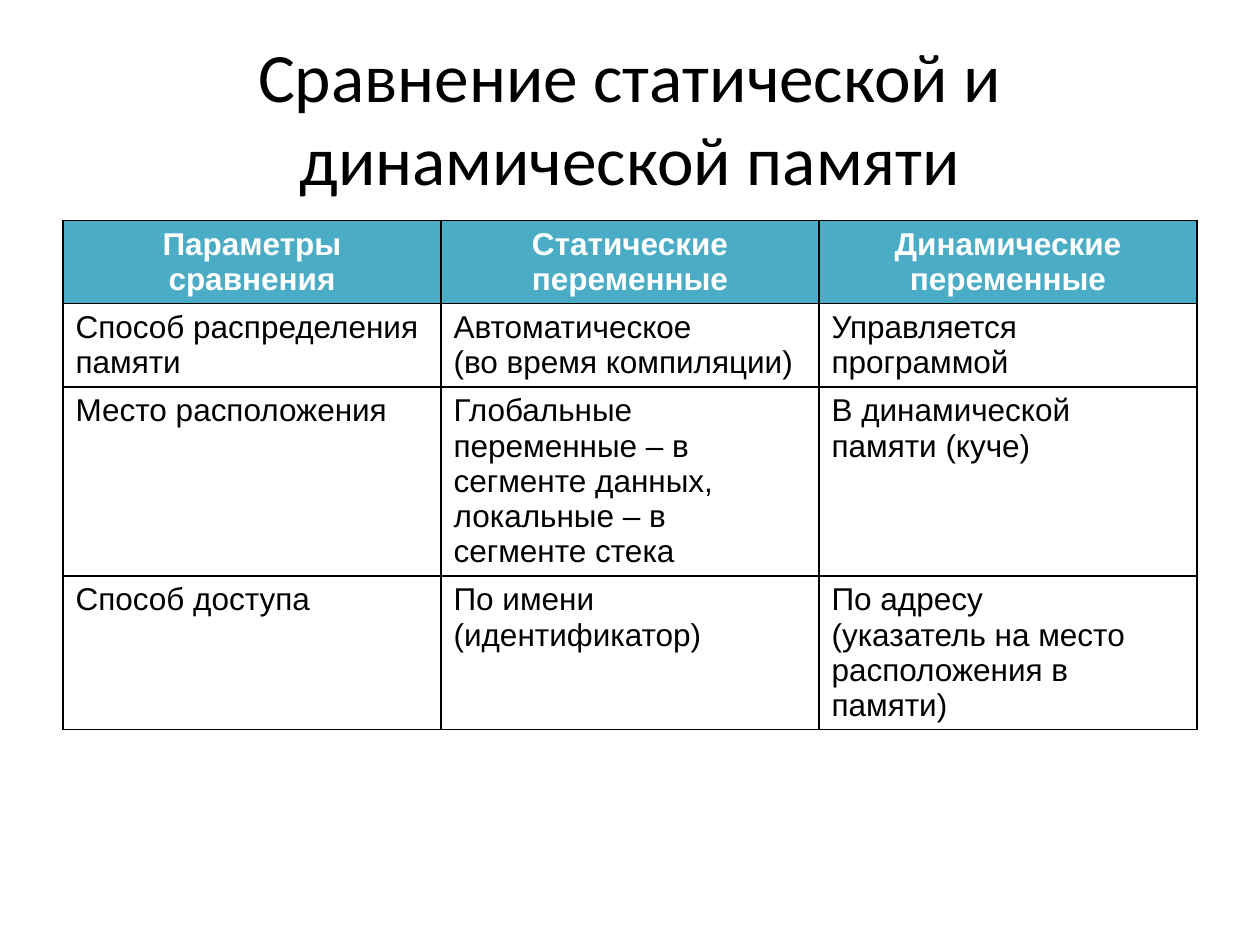
from lxml.etree import SubElement
from pptx import Presentation
from pptx.dml.color import RGBColor
from pptx.enum.text import MSO_ANCHOR, PP_ALIGN
from pptx.oxml.ns import qn
from pptx.util import Inches, Pt

BLACK = RGBColor(0x00, 0x00, 0x00)
WHITE = RGBColor(0xFF, 0xFF, 0xFF)
TEAL = RGBColor(0x4B, 0xAC, 0xC6)

TITLE = "Сравнение статической и динамической памяти"
# Each cell is a list of paragraphs.
COMPARISON = [
    [["Параметры сравнения"], ["Статические переменные"], ["Динамические переменные"]],
    [["Способ распределения памяти"],
     ["Автоматическое", "(во время компиляции)"],
     ["Управляется программой"]],
    [["Место расположения"],
     ["Глобальные переменные – в сегменте данных,", "локальные – в сегменте стека"],
     ["В динамической памяти (куче)"]],
    [["Способ доступа"],
     ["По имени (идентификатор)"],
     ["По адресу", "(указатель на место расположения в памяти)"]],
]


class SlideBuilder:
    title_font, title_size = "Calibri", Pt(39.6)
    table_font, table_size = "Arial", Pt(18)
    border_width = Pt(1)

    def __init__(self, slide):
        self.slide = slide

    def add_text(self, frame, paragraphs, font, size, color, bold=False, align=PP_ALIGN.LEFT):
        for index, text in enumerate(paragraphs):
            paragraph = frame.add_paragraph() if index else frame.paragraphs[0]
            paragraph.alignment = align
            run = paragraph.add_run()
            run.text = text
            run.font.name = font
            run.font.size = size
            run.font.bold = bold
            run.font.color.rgb = color

    def title(self, text, left, top, width, height):
        heading = self.slide.shapes.title
        heading.left, heading.top = left, top
        heading.width, heading.height = width, height
        frame = heading.text_frame
        frame.word_wrap = True
        frame.vertical_anchor = MSO_ANCHOR.MIDDLE
        self.add_text(frame, [text], self.title_font, self.title_size, BLACK,
                      align=PP_ALIGN.CENTER)

    def border(self, cell):
        """Draw all four sides; call before filling, as lines come first in tcPr."""
        properties = cell._tc.get_or_add_tcPr()
        for side in ("a:lnL", "a:lnR", "a:lnT", "a:lnB"):
            line = SubElement(properties, qn(side), w=str(self.border_width))
            fill = SubElement(line, qn("a:solidFill"))
            SubElement(fill, qn("a:srgbClr"), val=str(BLACK))

    def table(self, rows, left, top, column_width, row_height):
        columns = len(rows[0])
        table = self.slide.shapes.add_table(
            len(rows), columns, left, top,
            column_width * columns, row_height * len(rows)).table
        table.horz_banding = False
        for row_index, row in enumerate(rows):
            for column_index, paragraphs in enumerate(row):
                cell = table.cell(row_index, column_index)
                self.border(cell)
                header = row_index == 0
                if header:
                    cell.fill.solid()
                    cell.fill.fore_color.rgb = TEAL
                else:
                    cell.fill.background()
                self.add_text(cell.text_frame, paragraphs, self.table_font, self.table_size,
                              WHITE if header else BLACK, bold=header,
                              align=PP_ALIGN.CENTER if header else PP_ALIGN.LEFT)


def main():
    deck = Presentation()
    deck.slide_width, deck.slide_height = Inches(10), Inches(7.5)
    title_only = deck.slide_layouts[5]
    builder = SlideBuilder(deck.slides.add_slide(title_only))
    builder.title(TITLE, Inches(0.5), Inches(0.3), Inches(9), Inches(1.25))
    builder.table(COMPARISON, Inches(0.5), Inches(1.75), Inches(3), Inches(0.41))
    deck.save("out.pptx")


if __name__ == "__main__":
    main()
